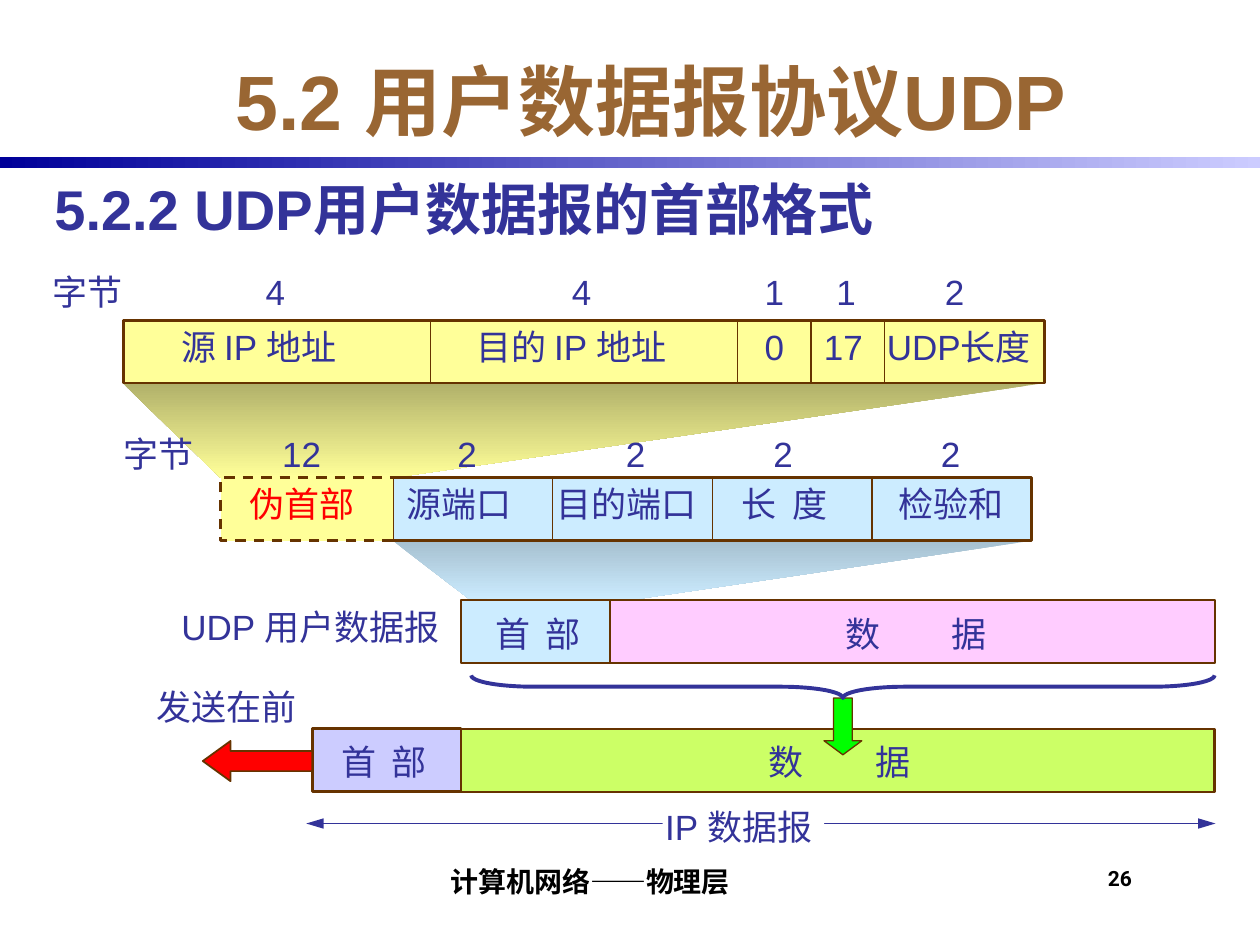
from lxml.etree import SubElement
from pptx import Presentation
from pptx.dml.color import RGBColor
from pptx.enum.dml import MSO_LINE
from pptx.enum.shapes import MSO_CONNECTOR, MSO_SHAPE
from pptx.enum.text import MSO_ANCHOR, MSO_AUTO_SIZE, PP_ALIGN
from pptx.oxml.ns import qn
from pptx.util import Pt

BROWN, NAVY, BLACK = "663300", "333399", "000000"
YELLOW, SKY = "FFFF99", "CCECFF"


def paint(shape, fill, line=None, width=1.5, angle=270):
    shape.shadow.inherit = False
    if isinstance(fill, tuple):
        shape.fill.gradient()
        shape.fill.gradient_angle = angle
        for stop, colour in zip(shape.fill.gradient_stops, fill):
            stop.color.rgb = RGBColor.from_string(colour)
    elif fill:
        shape.fill.solid()
        shape.fill.fore_color.rgb = RGBColor.from_string(fill)
    else:
        shape.fill.background()
    if line:
        shape.line.color.rgb = RGBColor.from_string(line)
        shape.line.width = Pt(width)
    else:
        shape.line.fill.background()


def write(frame, text, size, colour, bold=False, font="Arial"):
    frame.auto_size = MSO_AUTO_SIZE.NONE
    span = frame.paragraphs[0].add_run()
    span.text = text
    span.font.name = font
    span.font.size = Pt(size)
    span.font.bold = bold
    span.font.color.rgb = RGBColor.from_string(colour)


deck = Presentation()
deck.slide_width, deck.slide_height = Pt(720), Pt(540)
page = deck.slides.add_slide(deck.slide_layouts[5])
shapes = page.shapes

rule = shapes.add_shape(MSO_SHAPE.RECTANGLE, 0, Pt(90), Pt(720), Pt(6))
paint(rule, ("000099", "CCCCFF"), angle=0)

title = shapes.title
title.left, title.top, title.width, title.height = Pt(66), Pt(24), Pt(612), Pt(66)
title.text_frame.vertical_anchor = MSO_ANCHOR.MIDDLE
title.text_frame.paragraphs[0].alignment = PP_ALIGN.CENTER
write(title.text_frame, "5.2 用户数据报协议UDP", 44, "996633", True)

heading = shapes.add_textbox(Pt(24), Pt(96), Pt(672), Pt(78))
heading.text_frame.word_wrap = True
write(heading.text_frame, "5.2.2 UDP用户数据报的首部格式", 32, NAVY, True)

fans = [
    ([(224.5, 309), (589.3, 309), (358, 343.2), (267.8, 342)], ("A6C0D0", SKY)),
    ([(70.2, 219), (596.2, 219), (224.5, 273), (126, 273)], ("B1B16A", YELLOW)),
]
for corners, fill in fans:
    points = [(Pt(x), Pt(y)) for x, y in corners]
    builder = shapes.build_freeform(*points[0], scale=1.0)
    builder.add_line_segments(points[1:], close=True)
    paint(builder.convert_to_shape(), fill)

bars = [
    (70.5, 183, 526.3, YELLOW, 1.5),
    (224.5, 273, 365, SKY, 1.5),
    (263.5, 342.7, 85, SKY, 1),
    (348.5, 342.7, 345.7, "FFCCFF", 1),
    (178.5, 416.3, 85, "CCCCFF", 1.5),
    (263.5, 416.7, 430.7, "CCFF66", 1.5),
]
for left, top, width, fill, weight in bars:
    bar = shapes.add_shape(MSO_SHAPE.RECTANGLE, Pt(left), Pt(top), Pt(width), Pt(36))
    paint(bar, fill, BROWN, weight)

pseudo_points = [(Pt(x), Pt(y)) for x, y in [(224.5, 309), (126, 309), (126, 273), (224.5, 273)]]
builder = shapes.build_freeform(*pseudo_points[0], scale=1.0)
builder.add_line_segments(pseudo_points[1:], close=False)
pseudo_header = builder.convert_to_shape()
paint(pseudo_header, YELLOW, BROWN)
pseudo_header.line.dash_style = MSO_LINE.DASH

lines = [(x, 183, x, 219, BROWN) for x in (245.9, 421.3, 463.5, 505.6)]
lines += [(224.5 + 91.25 * step, 273, 224.5 + 91.25 * step, 309, BROWN) for step in (1, 2, 3)]
lines.append((175, 470.6, 694.6, 470.6, NAVY))
for x1, y1, x2, y2, colour in lines:
    line = shapes.add_connector(MSO_CONNECTOR.STRAIGHT, Pt(x1), Pt(y1), Pt(x2), Pt(y2))
    line.line.color.rgb = RGBColor.from_string(colour)
    line.line.width = Pt(0.75)
    properties = line._element.spPr
    SubElement(properties, qn("a:effectLst"))
    if colour == NAVY:
        for end in ("a:headEnd", "a:tailEnd"):
            SubElement(properties.find(qn("a:ln")), qn(end), type="triangle", w="med", len="lg")

label_gap = shapes.add_shape(MSO_SHAPE.RECTANGLE, Pt(378.7), Pt(458.6), Pt(92.2), Pt(23))
paint(label_gap, "FFFFFF")

send_arrow = shapes.add_shape(MSO_SHAPE.LEFT_ARROW, Pt(115.9), Pt(423.4), Pt(62.6), Pt(23))
send_arrow.adjustments[1] = 0.69
paint(send_arrow, "FF0000", BROWN, 1)

down_arrow = shapes.add_shape(MSO_SHAPE.DOWN_ARROW, Pt(470.9), Pt(398.9), Pt(21.6), Pt(32.4))
down_arrow.adjustments[1] = 0.37
paint(down_arrow, "00FF00", BROWN, 0.75)

brace = shapes.add_shape(MSO_SHAPE.LEFT_BRACE, Pt(475.2), Pt(180), Pt(13), Pt(424.8))
brace.adjustments[0] = 2.72
brace.rotation = 270
paint(brace, None, NAVY, 2.25)

label_rows = [
    (151.2, [("字节", 23, 54), ("4", 144.7, 25.2), ("4", 319.7, 25.2), ("1", 429.8, 25.2),
             ("1", 470.9, 25.2), ("2", 532.8, 25.2)]),
    (182.2, [("源 IP 地址", 96.5, 113), ("目的 IP 地址", 265, 133.2), ("0", 429.8, 25.2),
             ("17", 463.7, 36.7), ("UDP长度", 499.7, 101.5)]),
    (243.4, [("字节", 63.4, 54), ("12", 154.1, 36.7), ("2", 254.2, 25.2), ("2", 350.6, 25.2),
             ("2", 434.9, 25.2), ("2", 530.6, 25.2)]),
    (272.2, [("伪首部", 135.4, 74.2), ("源端口", 225.4, 74.2), ("目的端口", 311, 94.3),
             ("长\t度", 416.9, 70), ("检验和", 506.2, 74.2)]),
    (342.7, [("UDP 用户数据报", 96.5, 167)]),
    (346.3, [("首\t部", 275.8, 70), ("数\t据", 475.9, 110)]),
    (388.1, [("发送在前", 82.1, 94.3)]),
    (419.8, [("首\t部", 187.9, 70), ("数\t据", 432, 110)]),
    (456.5, [("IP 数据报", 373, 103.7)]),
]
for top, labels in label_rows:
    for text, left, width in labels:
        box = shapes.add_textbox(Pt(left), Pt(top), Pt(width), Pt(31.7))
        box.text_frame.word_wrap = "\t" in text
        if "\t" in text:
            stop = Pt(61) if text[0] == "数" else Pt(29)
            tabs = SubElement(box.text_frame.paragraphs[0]._p.get_or_add_pPr(), qn("a:tabLst"))
            SubElement(tabs, qn("a:tab"), pos=str(stop), algn="l")
        write(box.text_frame, text, 20, "FF0000" if text == "伪首部" else NAVY)

footer = shapes.add_textbox(Pt(149.8), Pt(486), Pt(372.2), Pt(30.2))
number = shapes.add_textbox(Pt(630), Pt(491.8), Pt(41.8), Pt(30.2))
for box, text, size in ((footer, "计算机网络——物理层", 16), (number, "26", 12)):
    frame = box.text_frame
    frame.word_wrap = True
    frame.margin_left, frame.margin_top, frame.margin_right, frame.margin_bottom = Pt(3), Pt(3), 0, 0
    write(frame, text, size, BLACK, True, "Roboto")
footer.text_frame.margin_top, footer.text_frame.margin_bottom = 0, Pt(3)
footer.text_frame.vertical_anchor = MSO_ANCHOR.BOTTOM
footer.text_frame.paragraphs[0].alignment = PP_ALIGN.CENTER

deck.save("out.pptx")
